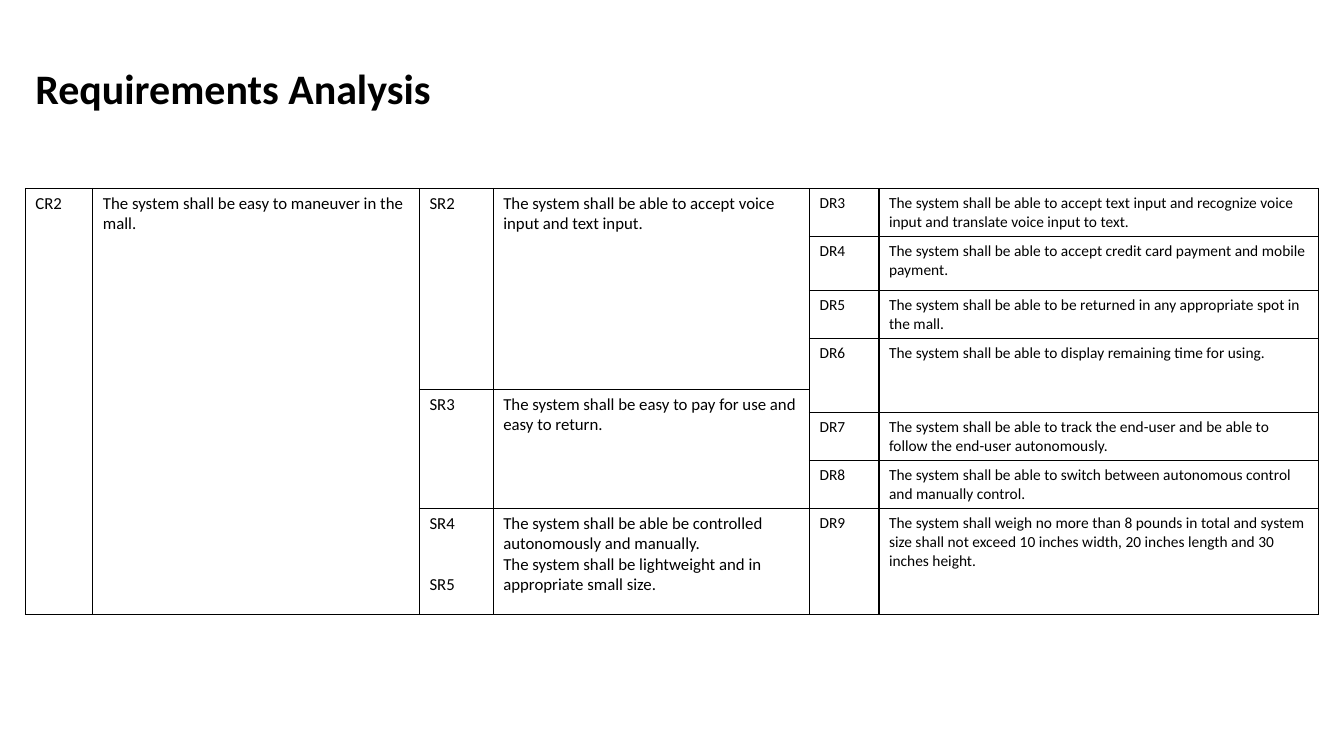
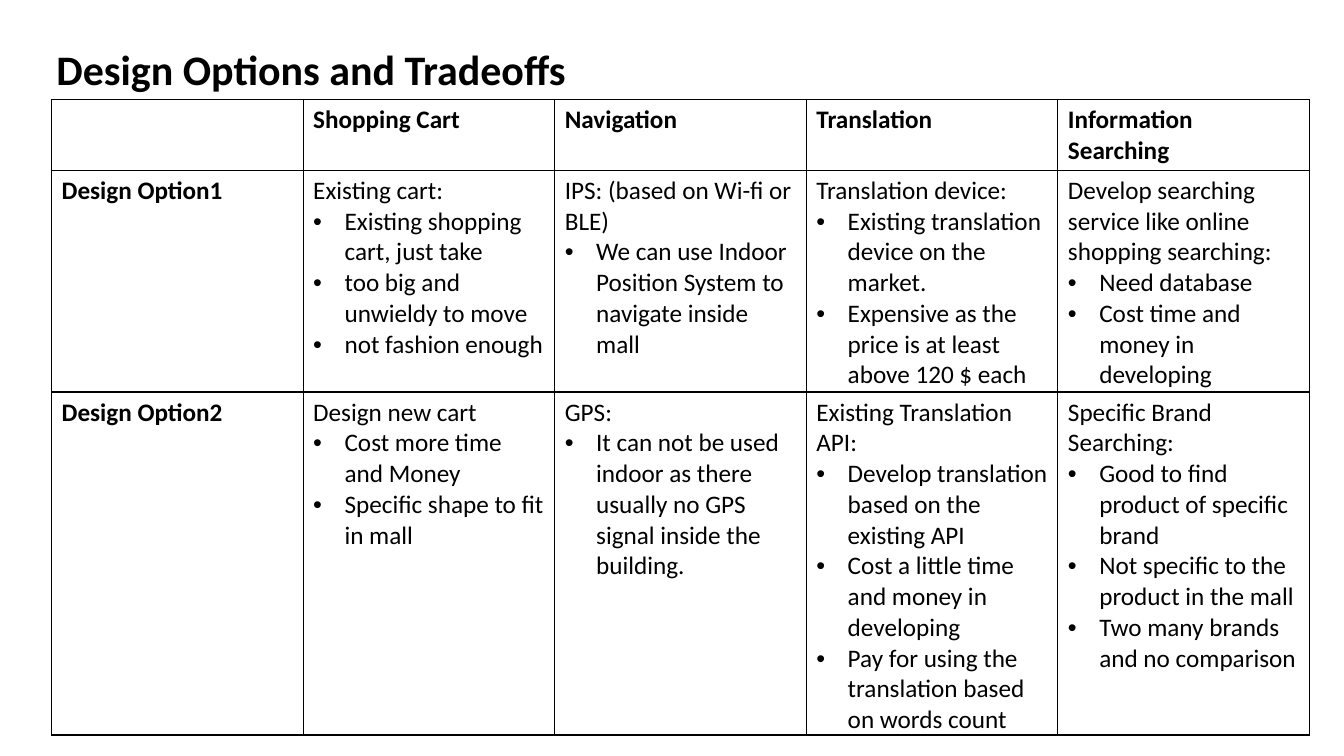
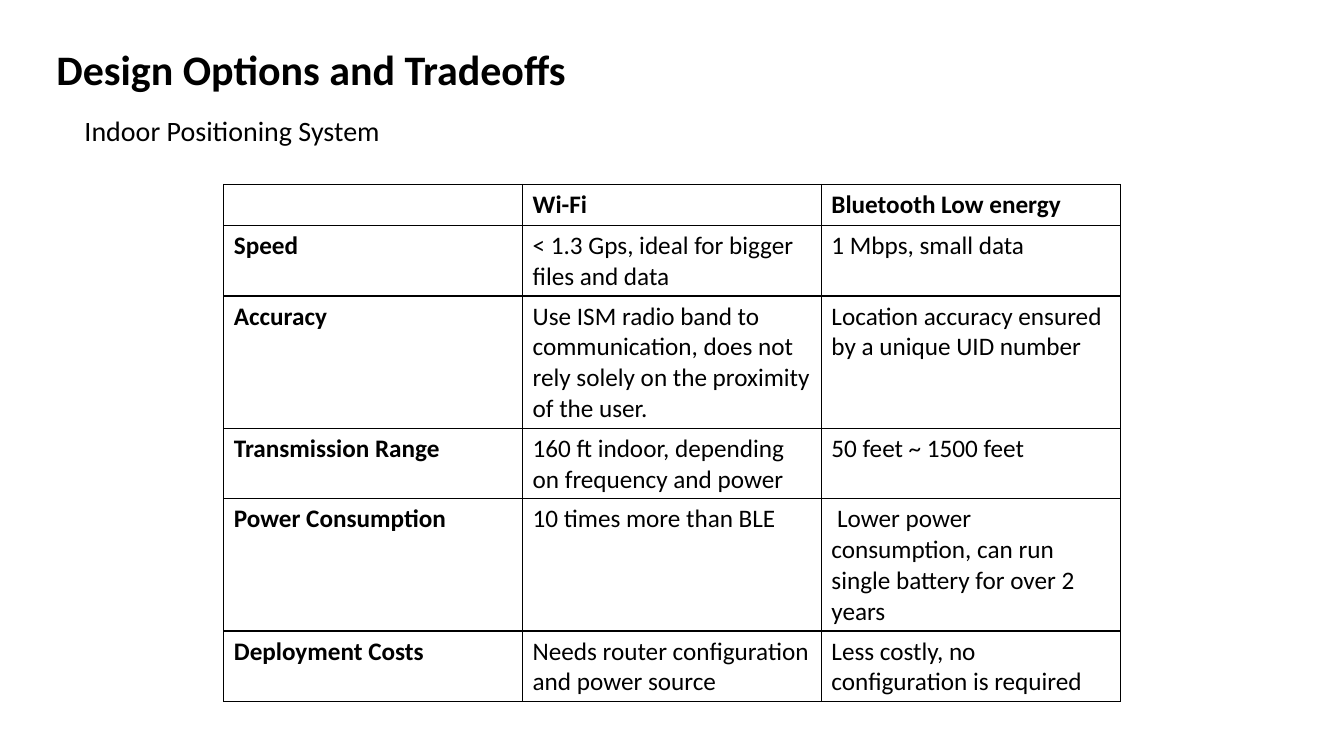
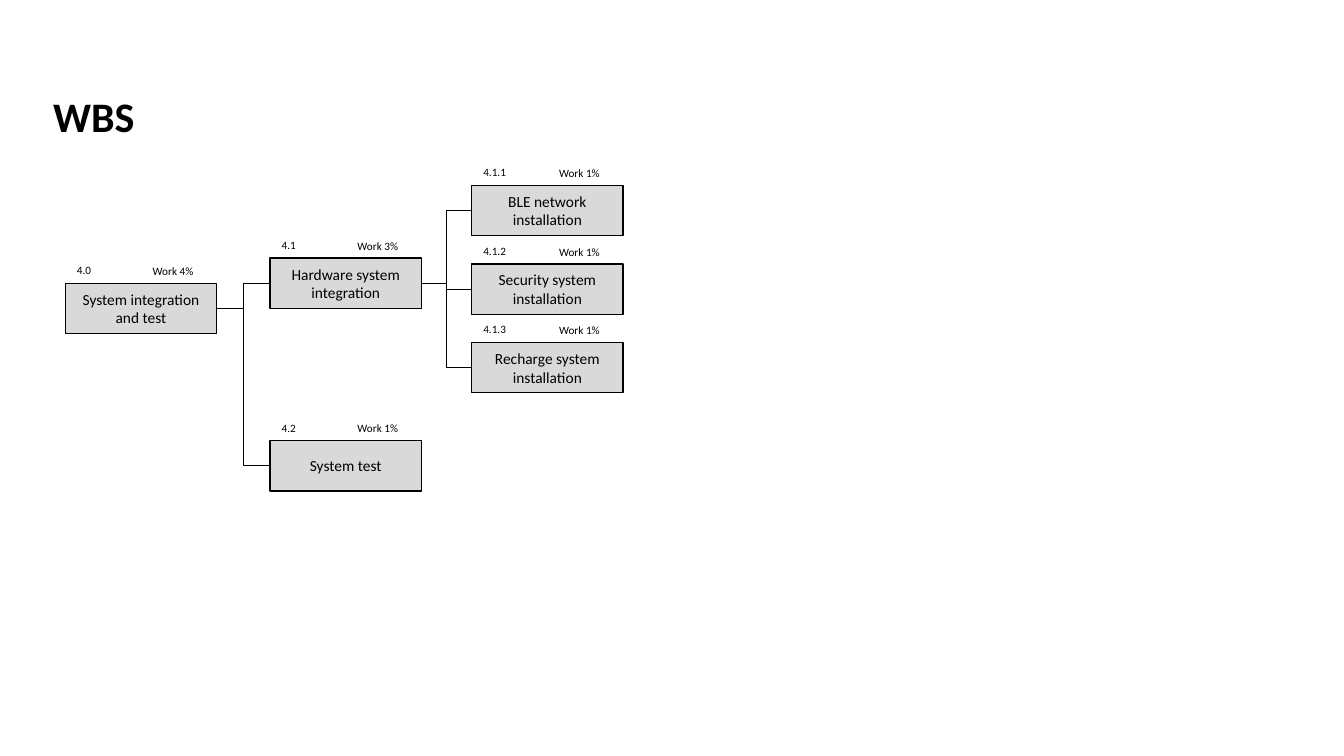
from lxml.etree import SubElement
from pptx import Presentation
from pptx.dml.color import RGBColor
from pptx.enum.shapes import MSO_CONNECTOR, MSO_SHAPE
from pptx.enum.text import MSO_ANCHOR, PP_ALIGN
from pptx.oxml.ns import qn
from pptx.util import Cm, Pt

FONT = "Calibri"
BLACK = "000000"
GREY = "D9D9D9"
TITLE_SIZE = 30
TITLE_HEIGHT = 1.55
color = RGBColor.from_string


def add_text(page, left, top, width, height, text, size, bold=False, wrap=False):
    box = page.shapes.add_textbox(Cm(left), Cm(top), Cm(width), Cm(height))
    box.text_frame.word_wrap = wrap
    para = box.text_frame.paragraphs[0]
    para.text = text
    para.font.name = FONT
    para.font.size = Pt(size)
    para.font.bold = bold
    para.font.color.rgb = color(BLACK)


def add_grid(page, left, top, widths, heights, rows, sizes, merges=(), headed=False):
    frame = page.shapes.add_table(len(heights), len(widths), Cm(left), Cm(top),
                                  Cm(sum(widths)), Cm(sum(heights)))
    table = frame.table
    table.first_row = headed
    table.horz_banding = False
    for column, width in zip(table.columns, widths):
        column.width = Cm(width)
    for row, height in zip(table.rows, heights):
        row.height = Cm(height)
    for row, column, last_row in merges:
        table.cell(row, column).merge(table.cell(last_row, column))
    for row, texts in enumerate(rows):
        for column, text in enumerate(texts):
            cell = table.cell(row, column)
            properties = cell._tc.get_or_add_tcPr()
            for side in ("a:lnL", "a:lnR", "a:lnT", "a:lnB"):
                border = SubElement(properties, qn(side), w=str(Pt(1)))
                SubElement(SubElement(border, qn("a:solidFill")), qn("a:srgbClr"), val=BLACK)
            cell.fill.background()
            if not text:
                continue
            cell.text = text
            for para in cell.text_frame.paragraphs:
                if para.text.startswith("• "):
                    para.text = para.text[2:]
                    layout = para._p.get_or_add_pPr()
                    layout.set("marL", str(Cm(0.79)))
                    layout.set("indent", str(-Cm(0.79)))
                    SubElement(layout, qn("a:buFont"), typeface="Arial")
                    SubElement(layout, qn("a:buChar"), char="•")
                para.font.name = FONT
                para.font.size = Pt(sizes[column])
                para.font.bold = headed and (row == 0 or column == 0)
                para.font.color.rgb = color(BLACK)
    return table


deck = Presentation()
deck.slide_width = Cm(33.87)
deck.slide_height = Cm(19.05)

titles = [
    ("Requirements Analysis", 0.64, 1.45, 10.59),
    ("Design Options and Tradeoffs", 1.17, 0.97, 13.54),
    ("Design Options and Tradeoffs", 1.17, 0.97, 13.54),
    ("WBS", 1.09, 2.16, 2.59),
]
pages = []
for title, left, top, width in titles:
    page = deck.slides.add_slide(deck.slide_layouts[6])
    add_text(page, left, top, width, TITLE_HEIGHT, title, TITLE_SIZE, bold=True)
    pages.append(page)
requirements_page, options_page, positioning_page, work_page = pages

requirements = [
    ["CR2", "The system shall be easy to maneuver in the mall.",
     "SR2", "The system shall be able to accept voice input and text input.",
     "DR3", "The system shall be able to accept text input and recognize voice input and translate voice input to text."],
    ["", "", "", "",
     "DR4", "The system shall be able to accept credit card payment and mobile payment."],
    ["", "", "", "",
     "DR5", "The system shall be able to be returned in any appropriate spot in the mall."],
    ["", "", "", "",
     "DR6", "The system shall be able to display remaining time for using."],
    ["", "", "SR3", "The system shall be easy to pay for use and easy to return.", "", ""],
    ["", "", "", "",
     "DR7", "The system shall be able to track the end-user and be able to follow the end-user autonomously."],
    ["", "", "", "",
     "DR8", "The system shall be able to switch between autonomous control and manually control."],
    ["", "", "SR4\nSR5",
     "The system shall be able be controlled autonomously and manually.\n"
     "The system shall be lightweight and in appropriate small size.",
     "DR9", "The system shall weigh no more than 8 pounds in total and system size shall not exceed "
            "10 inches width, 20 inches length and 30 inches height."],
]
requirements_table = add_grid(
    requirements_page, 0.64, 4.75,
    [1.7, 8.23, 1.86, 7.97, 1.75, 11.07],
    [1.21, 1.36, 1.21, 1.28, 0.58, 1.21, 1.21, 2.68],
    requirements, [12, 12, 12, 12, 11, 11],
    merges=[(0, 0, 7), (0, 1, 7), (0, 2, 3), (0, 3, 3),
            (4, 2, 6), (4, 3, 6), (3, 4, 4), (3, 5, 4)])
requirements_table.cell(7, 2).text_frame.paragraphs[1].space_before = Pt(29.3)

options = [
    ["", "Shopping Cart", "Navigation", "Translation", "Information Searching"],
    ["Design Option1",
     "Existing cart:\n• Existing shopping cart, just take\n• too big and unwieldy to move\n• not fashion enough",
     "IPS: (based on Wi-fi or BLE)\n• We can use Indoor Position System to navigate inside mall",
     "Translation device:\n• Existing translation device on the market.\n"
     "• Expensive as the price is at least above 120 $ each",
     "Develop searching service like online shopping searching:\n• Need database\n"
     "• Cost time and money in developing"],
    ["Design Option2",
     "Design new cart\n• Cost more time and Money\n• Specific shape to fit in mall",
     "GPS:\n• It can not be used indoor as there usually no GPS signal inside the building.",
     "Existing Translation API:\n• Develop translation based on the existing API\n"
     "• Cost a little time and money in developing\n"
     "• Pay for using the translation based on words count",
     "Specific Brand Searching:\n• Good to find product of specific brand\n"
     "• Not specific to the product in the mall\n• Two many brands and no comparison"],
]
add_grid(options_page, 1.3, 2.51, [6.34] * 5, [1.78, 5.58, 8.64], options, [18] * 5, headed=True)

add_text(positioning_page, 1.88, 2.74, 8.2, 1.12, "Indoor Positioning System", 20)
positioning = [
    ["", "Wi-Fi", "Bluetooth Low energy"],
    ["Speed", "< 1.3 Gps, ideal for bigger files and data", "1 Mbps, small data"],
    ["Accuracy",
     "Use ISM radio band to communication, does not rely solely on the proximity of the user.",
     "Location accuracy ensured by a unique UID number"],
    ["Transmission Range", "160 ft indoor, depending on frequency and power", "50 feet ~ 1500 feet"],
    ["Power Consumption", "10 times more than BLE",
     " Lower power consumption, can run single battery for over 2 years"],
    ["Deployment Costs", "Needs router configuration and power source",
     "Less costly, no configuration is required"],
]
add_grid(positioning_page, 5.64, 4.65, [7.53] * 3, [1.03, 1.78, 3.33, 1.78, 3.33, 1.78],
         positioning, [18] * 3, headed=True)

box_width, box_height = 3.81, 1.27
level_lefts = [1.65, 6.81, 11.89]
leaf_top, leaf_step = 4.67, 1.98
tasks = [
    ("4.0", "System integration and test", 4, 0, 7.14, None),
    ("4.1", "Hardware system integration", 3, 1, 6.5, "4.0"),
    ("4.2", "System test", 1, 1, 11.1, "4.0"),
    ("4.1.1", "BLE network installation", 1, 2, leaf_top, "4.1"),
    ("4.1.2", "Security system installation", 1, 2, leaf_top + leaf_step, "4.1"),
    ("4.1.3", "Recharge system installation", 1, 2, leaf_top + 2 * leaf_step, "4.1"),
]
boxes = {}
for code, name, share, level, top, parent in tasks:
    left = level_lefts[level]
    box = work_page.shapes.add_shape(MSO_SHAPE.RECTANGLE, Cm(left), Cm(top), Cm(box_width), Cm(box_height))
    box.shadow.inherit = False
    box.fill.solid()
    box.fill.fore_color.rgb = color(GREY)
    box.line.color.rgb = color(BLACK)
    box.line.width = Pt(1)
    box.text_frame.word_wrap = True
    box.text_frame.vertical_anchor = MSO_ANCHOR.MIDDLE
    para = box.text_frame.paragraphs[0]
    para.text = name
    para.alignment = PP_ALIGN.CENTER
    para.font.name = FONT
    para.font.size = Pt(11)
    para.font.color.rgb = color(BLACK)
    boxes[code] = box
    add_text(work_page, left + 0.04, top - 0.62, 1.9, 0.6, code, 8, wrap=True)
    add_text(work_page, left + 1.95, top - 0.6, 1.9, 0.6, f"Work {share}%", 8, wrap=True)
    if parent:
        link = work_page.shapes.add_connector(MSO_CONNECTOR.ELBOW, 0, 0, 0, 0)
        link.begin_connect(boxes[parent], 3)
        link.end_connect(box, 1)
        link.line.color.rgb = color(BLACK)
        link.line.width = Pt(0.5)
        SubElement(link._element.spPr, qn("a:effectLst"))

deck.save("out.pptx")
